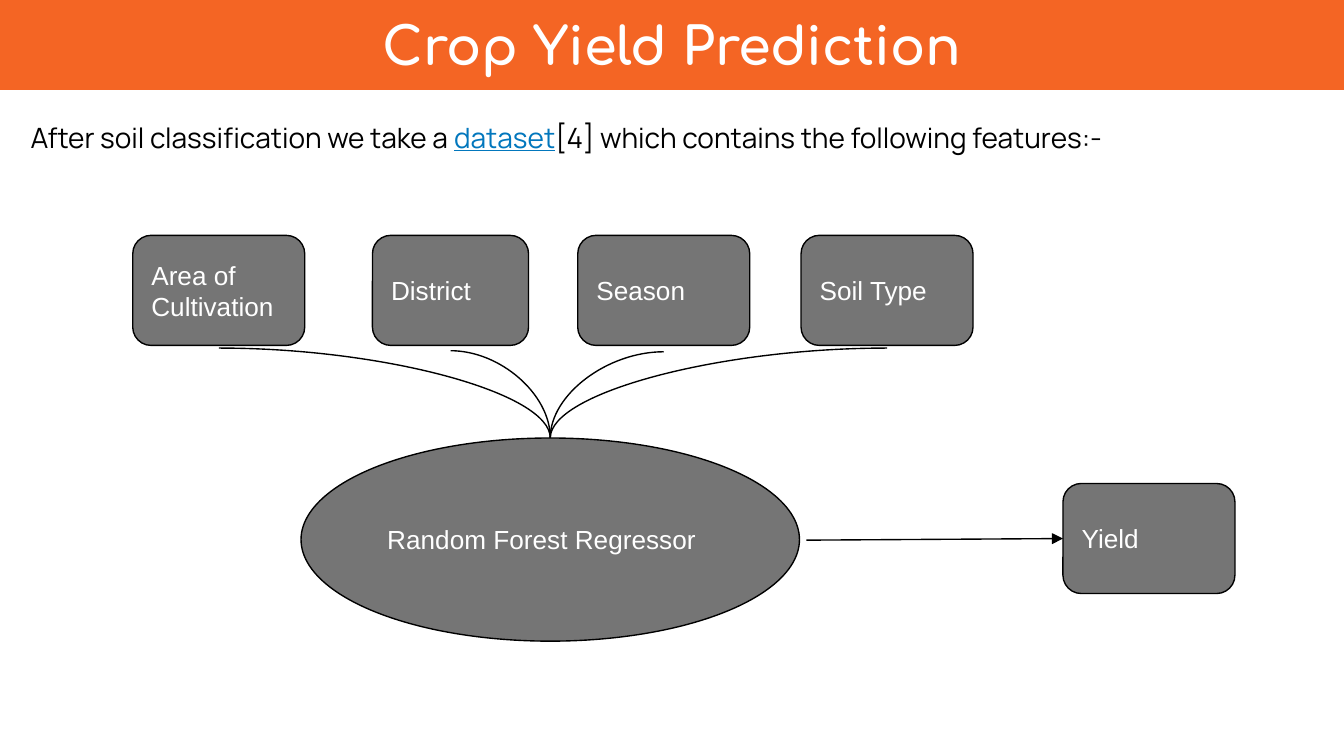
"""Build the crop yield prediction slide."""
from lxml import etree
from pptx import Presentation
from pptx import util as u
from pptx.dml.color import RGBColor
from pptx.enum import shapes, text
from pptx.oxml import ns

THEME = {
    "band": "F46524", "node": "757575", "ink": "000000",
    "pale": "FFFFFF", "link": "0277BD",
    "head": 28, "body": 15, "label": 14, "line": 0.75,
}
TITLE = "Crop Yield Prediction"
INTRO = [
    ("After soil classification we take a ", "ink", False),
    ("dataset", "link", True),
    ("[4] which contains the following features:-", "ink", False),
]
ROW, TALL, WIDE = 4.45, 2.08, 3.25
# label, left, width, gap between box and curve
FEATURES = [
    ("Area of Cultivation", 2.51, WIDE, 0.05),
    ("District", 7.04, 2.95, 0.1),
    ("Season", 10.92, WIDE, 0.12),
    ("Soil Type", 15.14, WIDE, 0.05),
]
MODEL = ("Random Forest Regressor", (5.69, 8.28, 9.42, 3.84))
RESULT = ("Yield", (20.09, 9.14, WIDE, TALL))
ARROW = (15.24, 10.21)
KIND = shapes.MSO_SHAPE
LINK = shapes.MSO_CONNECTOR


def tint(name):
    return RGBColor.from_string(THEME[name])


def style(run, face, size, color, **more):
    look = {"name": face, "size": u.Pt(THEME[size]), **more}
    for key, value in look.items():
        setattr(run.font, key, value)
    run.font.color.rgb = tint(color)


def frame(shape, anchor):
    body = shape.text_frame
    look = {"word_wrap": True, "vertical_anchor": anchor}
    for side in ("left", "right", "top", "bottom"):
        look["margin_" + side] = u.Cm(0.25)
    for key, value in look.items():
        setattr(body, key, value)
    return body.paragraphs[0]


def block(slide, kind, area, fill):
    shape = slide.shapes.add_shape(kind, *map(u.Cm, area))
    shape.shadow.inherit = False
    shape.fill.solid()
    shape.fill.fore_color.rgb = tint(fill)
    return shape


def node(slide, kind, label, area):
    shape = block(slide, kind, area, "node")
    shape.line.color.rgb = tint("ink")
    shape.line.width = u.Pt(THEME["line"])
    para = frame(shape, text.MSO_ANCHOR.MIDDLE)
    para.alignment = text.PP_ALIGN.LEFT
    run = para.add_run()
    run.text = label
    style(run, "Arial", "label", "pale")
    return shape


def join(slide, kind, start, end):
    line = slide.shapes.add_connector(kind, *map(u.Cm, start + end))
    line.line.color.rgb = tint("ink")
    line.line.width = u.Pt(THEME["line"])
    etree.SubElement(line._element.spPr, ns.qn("a:effectLst"))
    return line


def main():
    deck = Presentation()
    deck.slide_width, deck.slide_height = u.Cm(25.4), u.Cm(14.29)
    slide = deck.slides.add_slide(deck.slide_layouts[6])

    band = block(slide, KIND.RECTANGLE, (0, 0, 25.4, 1.7), "band")
    band.line.fill.background()
    para = frame(band, text.MSO_ANCHOR.TOP)
    para.alignment = text.PP_ALIGN.CENTER
    run = para.add_run()
    run.text = TITLE
    style(run, "Comfortaa", "head", "pale", bold=True)

    intro = slide.shapes.add_textbox(*map(u.Cm, (0.33, 2.03, 24.74, 1.14)))
    para = frame(intro, text.MSO_ANCHOR.TOP)
    for words, color, under in INTRO:
        run = para.add_run()
        run.text = words
        style(run, "Manrope", "body", color, underline=under)

    box = KIND.FLOWCHART_ALTERNATE_PROCESS
    left, top, width, _ = MODEL[1]
    for label, x, wide, gap in FEATURES:
        node(slide, box, label, (x, ROW, wide, TALL))
        start = (x + wide / 2, ROW + TALL + gap)
        curve = join(slide, LINK.CURVE, start, (left + width / 2, top))
        shape = curve._element.spPr.find(ns.qn("a:prstGeom"))
        shape.set("prst", "curvedConnector2")

    node(slide, KIND.OVAL, *MODEL)
    goal = node(slide, box, *RESULT)
    x, y, _, tall = RESULT[1]
    arrow = join(slide, LINK.STRAIGHT, ARROW, (x, y + tall / 2))
    arrow.end_connect(goal, 1)
    edge = arrow.line._get_or_add_ln()
    etree.SubElement(edge, ns.qn("a:tailEnd"), type="triangle")
    deck.save("out.pptx")


if __name__ == "__main__":
    main()
